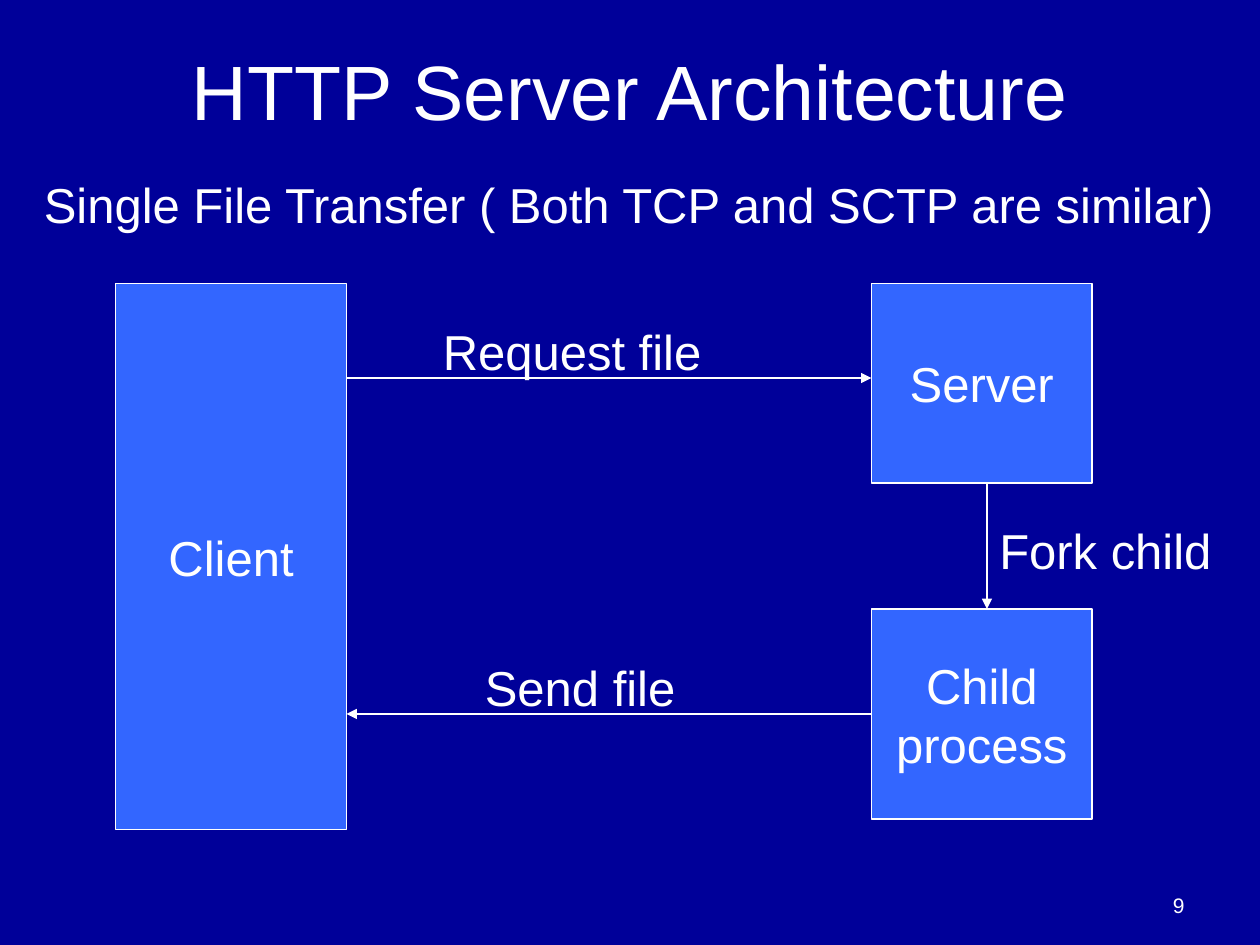
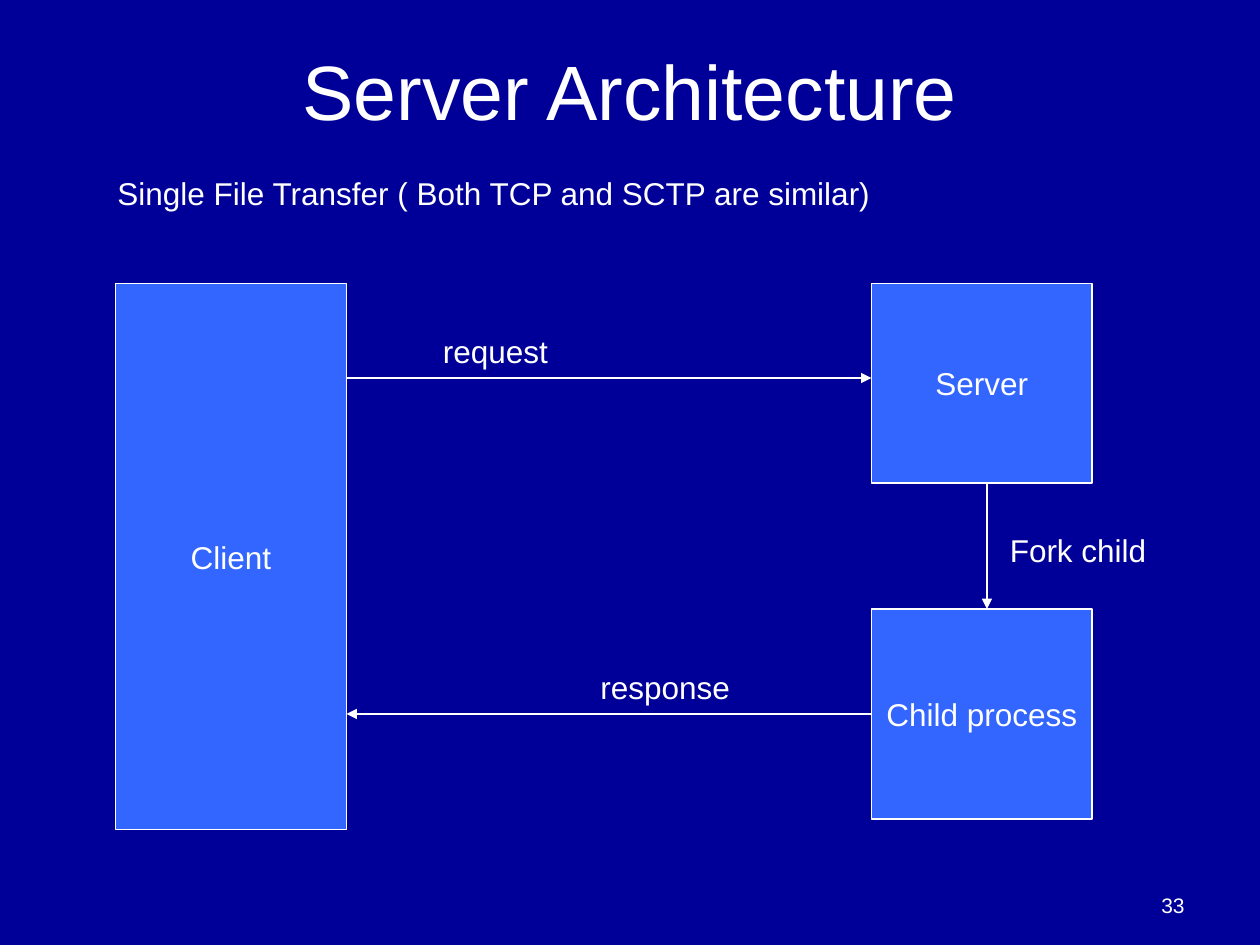
from lxml import etree
from pptx import Presentation
from pptx.dml.color import RGBColor
from pptx.enum.shapes import MSO_CONNECTOR, MSO_SHAPE
from pptx.enum.text import MSO_ANCHOR, PP_ALIGN
from pptx.oxml.ns import qn
from pptx.util import Pt

LEFT, CENTER, RIGHT = PP_ALIGN.LEFT, PP_ALIGN.CENTER, PP_ALIGN.RIGHT
TOP, MIDDLE, BOTTOM = MSO_ANCHOR.TOP, MSO_ANCHOR.MIDDLE, MSO_ANCHOR.BOTTOM
RECTANGLE, STRAIGHT = MSO_SHAPE.RECTANGLE, MSO_CONNECTOR.STRAIGHT
LEFT_SIDE = 1

FONT = "Arial"
BACKGROUND, BOX_FILL, WHITE = "000099", "3366FF", "FFFFFF"
LINE_WIDTH = 0.75
TITLE_SIZE, NUMBER_SIZE = 44, 12

SUBTITLE = "Single File Transfer ( Both TCP and SCTP are similar)"
SLIDES = [
    {
        "title": "HTTP Server Architecture",
        "number": "9",
        "size": 28,
        "boxes": {"client": "Client", "server": "Server", "child": "Child\nprocess"},
        "labels": [
            (SUBTITLE, 18, 96, 702),
            ("Request file", 246, 180, 210),
            ("Fork child", 564, 294, 144),
            ("Send file", 270, 372, 198),
        ],
    },
    {
        "title": "Server Architecture",
        "number": "33",
        "size": 18,
        "boxes": {"client": "Client", "server": "Server", "child": "Child process"},
        "labels": [
            (SUBTITLE, 60, 96, 624),
            ("request", 246, 186, 210),
            ("Fork child", 570, 300, 108),
            ("response", 336, 378, 132),
        ],
    },
]

TITLE_AREA = (36, 6, 648, 90)
NUMBER_AREA = (516, 492, 168, 36)
BOX_AREAS = {
    "client": (66, 162, 132, 312),
    "server": (498, 162, 126, 114),
    "child": (498, 348, 126, 120),
}
CLIENT_RIGHT = 198
SERVER_LEFT = 498
REQUEST_Y, RESPONSE_Y = 216, 408
FORK_X, FORK_TOP, FORK_BOTTOM = 564, 276, 348


def color(hex_value):
    return RGBColor.from_string(hex_value)


def points(values):
    return [Pt(value) for value in values]


def write(shape, text, size, align=LEFT, anchor=TOP, wrap=True):
    text_frame = shape.text_frame
    text_frame.text = text
    text_frame.word_wrap = wrap
    text_frame.vertical_anchor = anchor
    for paragraph in text_frame.paragraphs:
        paragraph.alignment = align
        for run in paragraph.runs:
            run.font.name = FONT
            run.font.size = Pt(size)
            run.font.color.rgb = color(WHITE)


def add_text(slide, area, text, size, align=LEFT, anchor=TOP):
    write(slide.shapes.add_textbox(*points(area)), text, size, align, anchor)


def add_box(slide, area, text, size):
    shape = slide.shapes.add_shape(RECTANGLE, *points(area))
    shape.shadow.inherit = False
    shape.fill.solid()
    shape.fill.fore_color.rgb = color(BOX_FILL)
    shape.line.color.rgb = color(WHITE)
    shape.line.width = Pt(LINE_WIDTH)
    write(shape, text, size, CENTER, MIDDLE, wrap=False)
    return shape


def add_arrow(slide, *ends):
    connector = slide.shapes.add_connector(STRAIGHT, *points(ends))
    connector.line.color.rgb = color(WHITE)
    connector.line.width = Pt(LINE_WIDTH)
    line = connector.line._get_or_add_ln()
    etree.SubElement(line, qn("a:tailEnd"), type="triangle")
    etree.SubElement(connector._element.spPr, qn("a:effectLst"))
    return connector


def add_architecture(presentation, content):
    slide = presentation.slides.add_slide(presentation.slide_layouts[6])
    slide.background.fill.solid()
    slide.background.fill.fore_color.rgb = color(BACKGROUND)
    size = content["size"]

    add_text(slide, TITLE_AREA, content["title"], TITLE_SIZE, CENTER, MIDDLE)
    boxes = {
        name: add_box(slide, BOX_AREAS[name], text, size)
        for name, text in content["boxes"].items()
    }
    add_arrow(slide, CLIENT_RIGHT, REQUEST_Y, SERVER_LEFT, REQUEST_Y)
    add_arrow(slide, FORK_X, FORK_TOP, FORK_X, FORK_BOTTOM)
    response = add_arrow(slide, SERVER_LEFT, RESPONSE_Y, CLIENT_RIGHT, RESPONSE_Y)
    response.begin_connect(boxes["child"], LEFT_SIDE)

    label_height = round(size * 1.2 + 7.2, 1)
    for text, left, top, width in content["labels"]:
        add_text(slide, (left, top, width, label_height), text, size)
    add_text(slide, NUMBER_AREA, content["number"], NUMBER_SIZE, RIGHT, BOTTOM)


def main():
    presentation = Presentation()
    presentation.slide_width, presentation.slide_height = Pt(720), Pt(540)
    for content in SLIDES:
        add_architecture(presentation, content)
    presentation.save("out.pptx")


if __name__ == "__main__":
    main()
